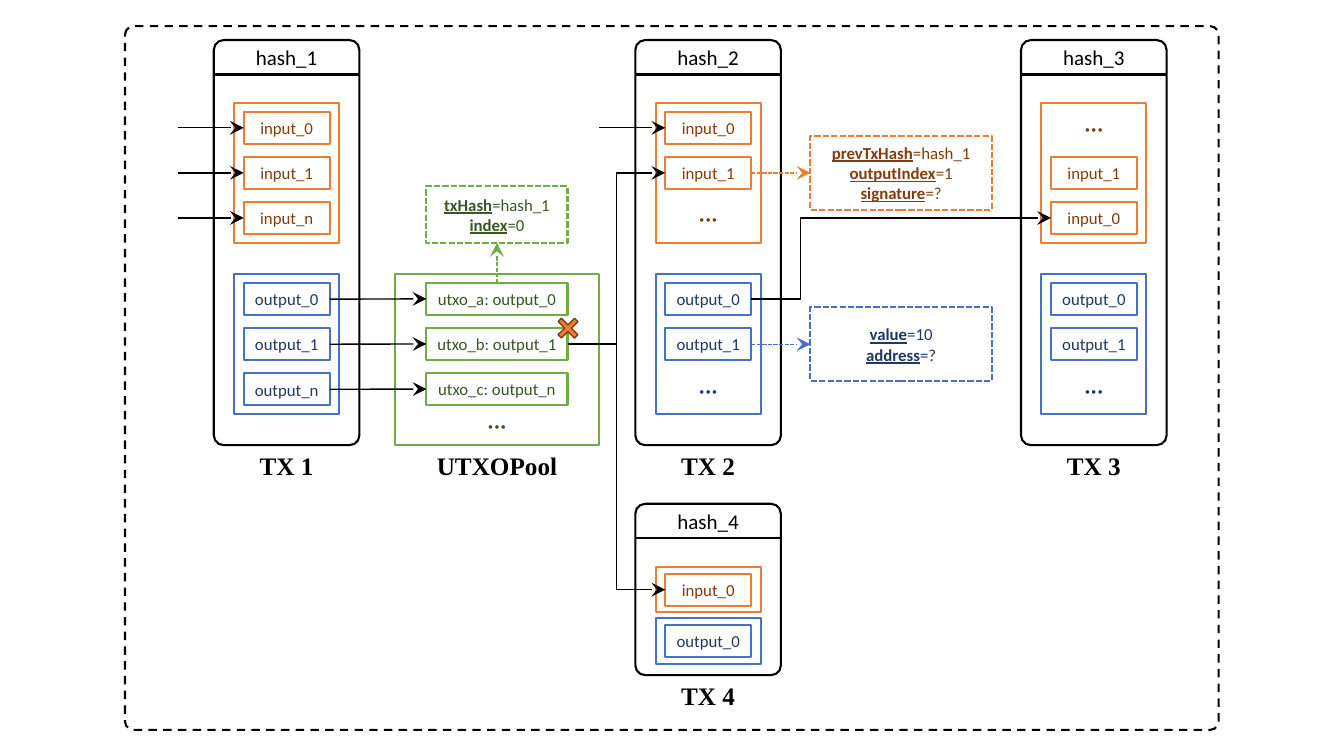
from lxml.etree import SubElement as Sub
from pptx import Presentation
from pptx.dml.color import RGBColor as Rgb
from pptx.enum.dml import MSO_LINE as Dash
from pptx.enum.shapes import MSO_CONNECTOR as Link, MSO_SHAPE as Kind
from pptx.enum.text import MSO_ANCHOR as Anchor, MSO_AUTO_SIZE as Auto, PP_ALIGN as Align
from pptx.oxml.ns import qn
from pptx.util import Pt

HUE = {"black": "000000", "in": "ED7D31", "out": "4472C4", "pool": "70AD47"}
INK = {"black": "000000", "in": "843C0B", "out": "203864", "pool": "385723"}
TOP, LEFT, BOTTOM, RIGHT = range(4)
CELL_H, STEP = 23, 32.2
TX_W, TX_H, HEAD = 104, 289.4, 24.6
CELL_W, POOL_W = 61.4, 100.8


def write(shape, lines, hue="black", size=12, font="Calibri", bold=False, keys=False):
    """Fill a shape with centred lines, marking the key of each pair if asked."""
    frame = shape.text_frame
    for num, line in enumerate(lines):
        para = frame.paragraphs[0] if num == 0 else frame.add_paragraph()
        para.alignment = Align.CENTER
        key, sign, rest = line.partition("=")
        parts = [(key, True), (sign + rest, False)] if keys else [(line, False)]
        for words, mark in parts:
            run = para.add_run()
            run.text = words
            run.font.name = font
            run.font.size = Pt(size)
            run.font.bold = bold or mark
            run.font.underline = mark
            run.font.color.rgb = Rgb.from_string(INK[hue])


def label(slide, x, y, w, h, words, wrap=True, **form):
    """Add a plain text box that fits its text."""
    box = slide.shapes.add_textbox(Pt(x), Pt(y), Pt(w), Pt(h))
    box.text_frame.word_wrap = wrap
    box.text_frame.auto_size = Auto.SHAPE_TO_FIT_TEXT
    write(box, [words], **form)


def dots(slide, mid, y, hue):
    """Add an ellipsis centred on a point."""
    label(slide, mid - 14, y - 14.4, 28, 28.8, "···", wrap=False, hue=hue, size=18)


def block(slide, x, y, w, h, hue="black", kind=Kind.RECTANGLE, dash=None, turn=None):
    """Add an outlined shape without fill."""
    shape = slide.shapes.add_shape(kind, Pt(x), Pt(y), Pt(w), Pt(h))
    shape.shadow.inherit = False
    shape.fill.background()
    shape.line.color.rgb = Rgb.from_string(HUE[hue])
    shape.line.width = Pt(1.5)
    shape.line.dash_style = dash
    if turn is not None:
        shape.adjustments[0] = turn
    frame = shape.text_frame
    frame.vertical_anchor = Anchor.MIDDLE
    frame.margin_left = frame.margin_right = 0
    return shape


def note(slide, x, y, w, h, lines, hue):
    """Add a dashed box of key and value pairs."""
    box = block(slide, x, y, w, h, hue, dash=Dash.SQUARE_DOT)
    write(box, lines, hue=hue, keys=True)
    return box


def line(slide, ends, hue="black", width=1, kind=Link.STRAIGHT):
    """Add a plain line between two points."""
    wire = slide.shapes.add_connector(kind, *[Pt(num) for num in ends])
    wire.line.color.rgb = Rgb.from_string(HUE[hue])
    wire.line.width = Pt(width)
    Sub(wire.element.spPr, qn("a:effectLst"))
    return wire


def arrow(slide, tail, tip, sides=(RIGHT, LEFT), hue="black", dash=None, bend=None):
    """Join two shapes, or lead into one from its left if there is no tail."""
    x, y = tip.left.pt, tip.top.pt + tip.height.pt / 2
    kind = Link.ELBOW if bend else Link.STRAIGHT
    wire = line(slide, (x - 47.2, y, x, y), hue, kind=kind)
    wire.line.dash_style = dash
    if tail:
        wire.begin_connect(tail, sides[0])
    wire.end_connect(tip, sides[1])
    Sub(wire.line._get_or_add_ln(), qn("a:tailEnd"), type="stealth", w="lg", len="lg")
    if bend:
        guides = wire.element.spPr.find(qn("a:prstGeom")).get_or_add_avLst()
        Sub(guides, qn("a:gd"), name="adj1", fmla=f"val {round(bend * 100000)}")


def stack(slide, x, y, w, names, hue):
    """Add a column of named cells and return them."""
    cells = []
    for num, name in enumerate(names):
        top = y + num * STEP
        if name == "···":
            dots(slide, x + w / 2, top + CELL_H / 2, hue)
            continue
        cell = block(slide, x, top, w, CELL_H, hue)
        write(cell, [name], hue=hue)
        cells.append(cell)
    return cells


def deal(slide, x, y, num, ins, outs, h=TX_H, pad=6.2, gap=22.6):
    """Add one transaction and return its input and output cells."""
    block(slide, x, y, TX_W, h, kind=Kind.ROUNDED_RECTANGLE, turn=0.068)
    label(slide, x, y, TX_W, 25.2, f"hash_{num}", size=15)
    line(slide, (x, y + HEAD, x + TX_W, y + HEAD), width=1.5)
    label(slide, x, y + h, TX_W, 28.8, f"TX {num}", size=18,
          font="Times New Roman", bold=True)
    top, cells = y + 45, []
    for names, hue in ((ins, "in"), (outs, "out")):
        tall = 2 * pad + CELL_H + STEP * (len(names) - 1)
        block(slide, x + 14.6, top, 75, tall, hue)
        cells.append(stack(slide, x + 21.4, top + pad, CELL_W, names, hue))
        top += tall + gap
    return cells


def pool(slide, x, y, w, h):
    """Add the pool with its note and return its cells."""
    block(slide, x, y, w, h, "pool")
    names = ["utxo_a: output_0", "utxo_b: output_1", "utxo_c: output_n"]
    left = x + (w - POOL_W) / 2
    cells = stack(slide, left, y + 6.2, POOL_W, names, "pool")
    dots(slide, x + w / 2, y + 107.4, "pool")
    label(slide, x + (w - TX_W) / 2, y + h, TX_W, 28.8, "UTXOPool", size=18,
          font="Times New Roman", bold=True)
    info = note(slide, left, y - 62.6, POOL_W, 40.3, ["txHash=hash_1", "index=0"], "pool")
    arrow(slide, cells[0], info, (TOP, BOTTOM), "pool", Dash.SQUARE_DOT)
    cross = block(slide, left + POOL_W - 8, y + 30.3, 16.6, 16.6, "in", Kind.CROSS, turn=0.398)
    cross.rotation = 225.4
    cross.fill.solid()
    cross.fill.fore_color.rgb = Rgb.from_string(HUE["in"])
    cross.line.color.rgb = Rgb.from_string(INK["in"])
    cross.line.width = Pt(1)
    return cells


def chain(slide, x, y, w, h):
    """Add the whole diagram inside its dashed frame."""
    block(slide, x, y, w, h, kind=Kind.ROUNDED_RECTANGLE, dash=Dash.DASH, turn=0.012)
    row, mid = y + 9.9, x + 364.5
    ins1, outs1 = deal(slide, x + 63.4, row, 1, ["input_0", "input_1", "input_n"],
                       ["output_0", "output_1", "output_n"])
    ins2, outs2 = deal(slide, mid, row, 2, ["input_0", "input_1", "···"],
                       ["output_0", "output_1", "···"])
    ins3, _ = deal(slide, x + 640, row, 3, ["···", "input_1", "input_0"],
                   ["output_0", "output_1", "···"])
    ins4, _ = deal(slide, mid, y + 341.2, 4, ["input_0"], ["output_0"],
                   h=122.4, pad=4.8, gap=4.2)
    coins = pool(slide, x + 193, row + 167.2, 145.4, 122.2)
    for cell in ins1 + ins2[:1]:
        arrow(slide, None, cell)
    for cell, coin in zip(outs1, coins):
        arrow(slide, cell, coin)
    for cell in (ins2[1], ins4[0]):
        arrow(slide, coins[1], cell, bend=0.5)
    arrow(slide, outs2[0], ins3[1], bend=0.164)
    notes = [(ins2[1], ["prevTxHash=hash_1", "outputIndex=1", "signature=?"], "in"),
             (outs2[1], ["value=10", "address=?"], "out")]
    for cell, lines, hue in notes:
        top = cell.top.pt + CELL_H / 2 - 26.3
        info = note(slide, x + 489.6, top, 129.6, 52.6, lines, hue)
        arrow(slide, cell, info, hue=hue, dash=Dash.SQUARE_DOT)


def main():
    """Build and save the deck."""
    deck = Presentation()
    deck.slide_width, deck.slide_height = Pt(960), Pt(540)
    slide = deck.slides.add_slide(deck.slide_layouts[6])
    chain(slide, 89.3, 18.7, 781.2, 502.6)
    deck.save("out.pptx")


if __name__ == "__main__":
    main()
